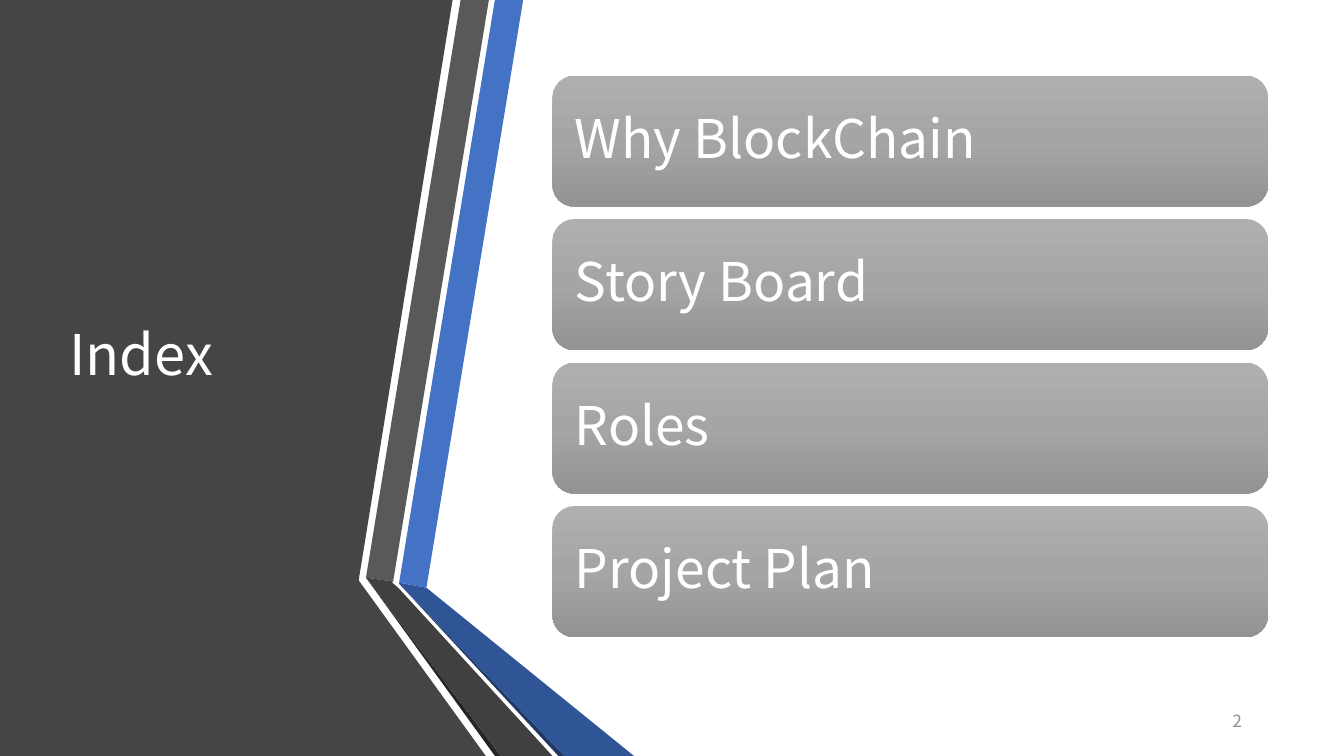
from copy import deepcopy

from pptx import Presentation
from pptx.dml.color import RGBColor
from pptx.enum.shapes import MSO_SHAPE
from pptx.enum.text import MSO_ANCHOR, PP_ALIGN
from pptx.oxml.ns import qn
from pptx.util import Pt

BAR_STOPS = [(0, "AFAFAF"), (0.5, "A5A5A5"), (1, "939393")]
TOPICS = ["Why BlockChain", "Story Board", "Roles", "Project Plan"]
BAR_TOP, BAR_PITCH = 54, 102.5

FOLDED_BANDS = [
    ("454545", [(0, 0), (323.3, 0), (256.3, 414), (256.3, 414.7), (347, 540), (0, 540)]),
    ("4472C4", [(285.1, 416.2), (304.6, 419.8), (373.7, 0), (353.5, 0)]),
    ("595959", [(349.2, 0), (329, 0), (261.4, 412.6), (280.8, 415.4)]),
    ("262626", [(261.4, 412.6), (353.5, 540), (357.8, 540)]),
    ("203864", [(285.1, 416.9), (398.9, 540), (403.2, 540)]),
    ("2F5597", [(285.1, 416.9), (403.2, 540), (452.9, 540), (304.6, 419.8), (285.1, 416.2)]),
    ("404040", [(394.6, 540), (284.4, 419.8), (280.1, 416.2), (280.8, 415.4),
                (261.4, 412.6), (357.8, 540)]),
]


def color(hex_value):
    return RGBColor.from_string(hex_value)


class SlideBuilder:
    font = "Noto Sans CJK KR"

    def __init__(self, slide):
        self.slide = slide

    def polygon(self, points, fill):
        corners = [(Pt(x), Pt(y)) for x, y in points]
        builder = self.slide.shapes.build_freeform(*corners[0])
        builder.add_line_segments(corners[1:], close=True)
        band = builder.convert_to_shape()
        band.shadow.inherit = False
        band.fill.solid()
        band.fill.fore_color.rgb = color(fill)
        band.line.fill.background()

    def label(self, shape, text, size, ink="FFFFFF", align=PP_ALIGN.LEFT, spacing=0.9):
        frame = shape.text_frame
        frame.word_wrap = True
        frame.vertical_anchor = MSO_ANCHOR.MIDDLE
        paragraph = frame.paragraphs[0]
        paragraph.alignment = align
        paragraph.line_spacing = spacing
        run = paragraph.add_run()
        run.text = text
        run.font.name = self.font
        run.font.size = Pt(size)
        run.font.color.rgb = color(ink)

    def text(self, left, top, width, height, text, size, **style):
        box = self.slide.shapes.add_textbox(Pt(left), Pt(top), Pt(width), Pt(height))
        self.label(box, text, size, **style)

    def bar(self, left, top, width, height, text, size):
        """Add a rounded bar with a vertical gradient and its label."""
        bar = self.slide.shapes.add_shape(
            MSO_SHAPE.ROUNDED_RECTANGLE, Pt(left), Pt(top), Pt(width), Pt(height))
        bar.shadow.inherit = False
        bar.line.fill.background()
        bar.fill.gradient()
        bar.fill.gradient_angle = 270
        stop_list = next(bar._element.iter(qn("a:gsLst")))
        stop_list.append(deepcopy(stop_list[-1]))
        for stop, (position, shade) in zip(bar.fill.gradient_stops, BAR_STOPS):
            stop.position = position
            stop.color.rgb = color(shade)
        # The rounded corners already inset the text by about 4.6 pt.
        bar.text_frame.margin_left = bar.text_frame.margin_right = Pt(11.5)
        self.label(bar, text, size)


def main():
    deck = Presentation()
    deck.slide_width, deck.slide_height = Pt(960), Pt(540)
    builder = SlideBuilder(deck.slides.add_slide(deck.slide_layouts[6]))

    for fill, points in FOLDED_BANDS:
        builder.polygon(points, fill)
    builder.text(42.5, 54, 218.9, 401.8, "Index", 40)
    for row, topic in enumerate(TOPICS):
        builder.bar(394.6, BAR_TOP + row * BAR_PITCH, 511.2, 93.6, topic, 38)
    builder.text(678.2, 500.4, 216, 28.8, "2", 12,
                 ink="8C8C8C", align=PP_ALIGN.RIGHT, spacing=1.0)

    deck.save("out.pptx")


if __name__ == "__main__":
    main()
